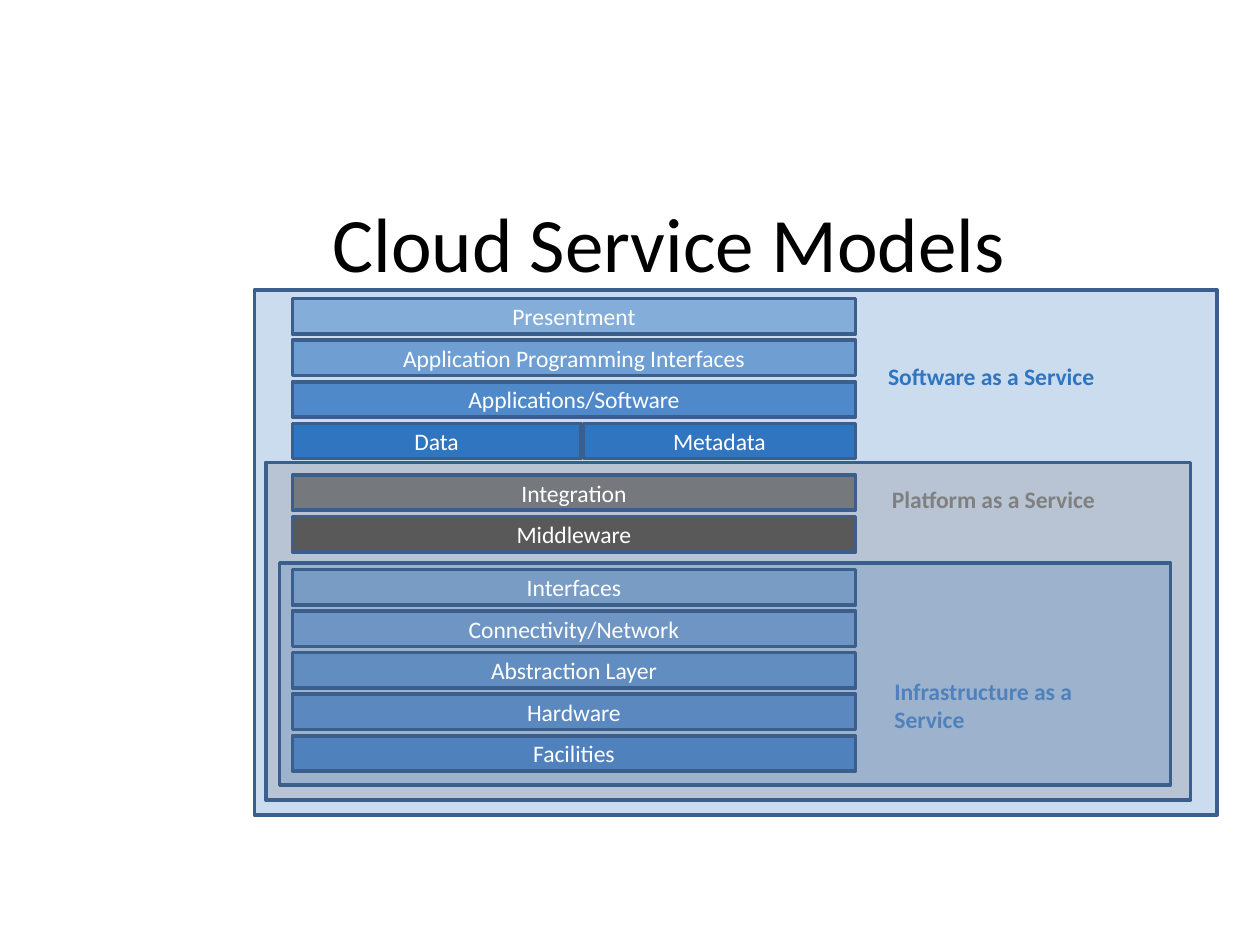
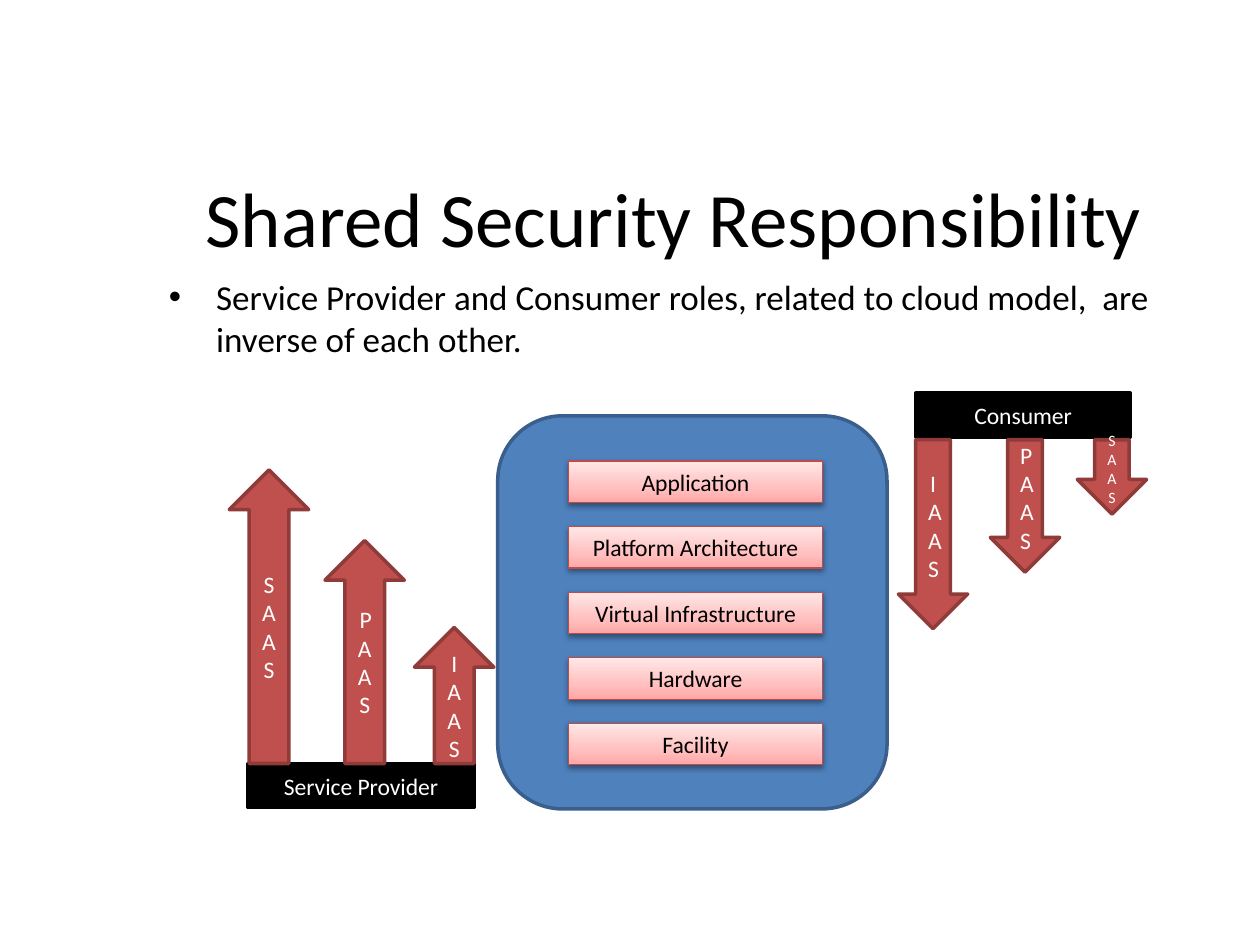
from copy import deepcopy

from lxml import etree
from pptx import Presentation
from pptx.dml.color import RGBColor
from pptx.enum.shapes import MSO_SHAPE
from pptx.enum.text import MSO_ANCHOR, MSO_AUTO_SIZE, PP_ALIGN
from pptx.oxml.ns import qn
from pptx.util import Inches, Pt

RECTANGLE = MSO_SHAPE.RECTANGLE
ROUNDED = MSO_SHAPE.ROUNDED_RECTANGLE
UP_ARROW = MSO_SHAPE.UP_ARROW
DOWN_ARROW = MSO_SHAPE.DOWN_ARROW
MIDDLE = MSO_ANCHOR.MIDDLE
TOP = MSO_ANCHOR.TOP
CENTER = PP_ALIGN.CENTER
LEFT = PP_ALIGN.LEFT
NO_AUTOFIT = MSO_AUTO_SIZE.NONE

BLACK = RGBColor(0x00, 0x00, 0x00)
WHITE = RGBColor(0xFF, 0xFF, 0xFF)
SOFTWARE_BLUE = RGBColor(0x30, 0x75, 0xC0)
PLATFORM_GRAY = RGBColor(0x80, 0x80, 0x80)
LAYER_GRAY = RGBColor(0x59, 0x59, 0x59)
BLUE = RGBColor(0x4F, 0x81, 0xBD)
BLUE_LINE = RGBColor(0x3A, 0x5F, 0x8C)
RED = RGBColor(0xC0, 0x50, 0x4D)
RED_LINE = RGBColor(0x8E, 0x3B, 0x39)
PINK_LINE = RGBColor(0xBF, 0x4C, 0x48)
PINK_STOPS = [
    (0, RGBColor(0xFF, 0xA6, 0xA5)),
    (0.35, RGBColor(0xFF, 0xC0, 0xBF)),
    (1, RGBColor(0xFF, 0xE7, 0xE7)),
]


class Deck:
    font_name = "Calibri"
    label_size = 13.5

    def __init__(self):
        self.presentation = Presentation()
        self.presentation.slide_width = Inches(10)
        self.presentation.slide_height = Inches(7.5)
        self.slide = None
        self.shapes = None

    def add_slide(self, layout_index, title, left, top):
        layout = self.presentation.slide_layouts[layout_index]
        self.slide = self.presentation.slides.add_slide(layout)
        self.shapes = self.slide.shapes
        self.fill_placeholder(0, title, (left, top, 8.22, 1.44), 44, MIDDLE, CENTER)

    def start_group(self):
        """Send the shapes that follow on this slide into one group."""
        self.shapes = self.slide.shapes.add_group_shape().shapes

    def fill_placeholder(self, index, text, place, size, anchor, align):
        box = self.slide.placeholders[index]
        box.left, box.top, box.width, box.height = map(Inches, place)
        self.set_text(box, text, size, BLACK, anchor, align)
        box.text_frame.auto_size = NO_AUTOFIT

    def set_text(self, box, text, size, color, anchor=MIDDLE, align=CENTER, bold=False):
        frame = box.text_frame
        frame.text = text
        frame.word_wrap = True
        frame.vertical_anchor = anchor
        para = frame.paragraphs[0]
        para.alignment = align
        para.space_before = Pt(0)
        for span in para.runs:
            span.font.name = self.font_name
            span.font.size = Pt(size)
            span.font.bold = bold
            span.font.color.rgb = color

    def shape(self, kind, place, fill, line, text="", opacity=100, size=label_size):
        shape = self.shapes.add_shape(kind, *map(Inches, place))
        shape.shadow.inherit = False
        shape.fill.solid()
        shape.fill.fore_color.rgb = fill
        if opacity < 100:
            color = shape._element.spPr.find(qn("a:solidFill"))[0]
            etree.SubElement(color, qn("a:alpha"), val=str(opacity * 1000))
        shape.line.color.rgb = line
        shape.line.width = Pt(2)
        if text:
            self.set_text(shape, text, size, WHITE)
        return shape

    def label(self, text, left, top, height, color):
        box = self.shapes.add_textbox(*map(Inches, (left, top, 2.11, height)))
        self.set_text(box, text, self.label_size, color, TOP, LEFT, bold=True)

    def gradient_bar(self, text, place):
        """Pink bar that darkens downwards and casts a soft shadow."""
        bar = self.shape(RECTANGLE, place, RED, PINK_LINE)
        bar.line.width = Pt(0.75)
        self.set_text(bar, text, self.label_size, BLACK)

        bar.fill.gradient()
        bar.fill.gradient_angle = 90
        properties = bar._element.spPr
        stop_list = properties.find(".//" + qn("a:gsLst"))
        stop_list.append(deepcopy(stop_list[-1]))
        for stop, (position, color) in zip(bar.fill.gradient_stops, PINK_STOPS):
            stop.position = position
            stop.color.rgb = color

        shadow = etree.SubElement(
            properties.find(qn("a:effectLst")), qn("a:outerShdw"),
            blurRad=str(Pt(3.1)), dist=str(Pt(1.6)), dir="5400000", rotWithShape="0")
        color = etree.SubElement(shadow, qn("a:srgbClr"), val=str(BLACK))
        etree.SubElement(color, qn("a:alpha"), val="38000")


def build_service_models(deck):
    deck.add_slide(5, "Cloud Service Models", 1.2, 1.2)
    deck.start_group()
    for place, color in [
        ((2.02, 2.3, 7.64, 4.17), SOFTWARE_BLUE),
        ((2.11, 3.67, 7.34, 2.68), PLATFORM_GRAY),
        ((2.22, 4.47, 7.07, 1.76), BLUE),
    ]:
        deck.shape(RECTANGLE, place, color, BLUE_LINE, opacity=25)

    layer_left, layer_width, layer_height, step = 2.32, 4.47, 0.28, 0.33
    layer_stacks = [
        (2.37, SOFTWARE_BLUE, [
            ("Presentment", 45),
            ("Application Programming Interfaces", 60),
            ("Applications/Software", 80),
        ]),
        (3.77, LAYER_GRAY, [("Integration", 70), ("Middleware", 100)]),
        (4.52, BLUE, [
            ("Interfaces", 45),
            ("Connectivity/Network", 60),
            ("Abstraction Layer", 75),
            ("Hardware", 85),
            ("Facilities", 100),
        ]),
    ]
    for top, color, layers in layer_stacks:
        for row, (text, opacity) in enumerate(layers):
            place = (layer_left, top + row * step, layer_width, layer_height)
            deck.shape(RECTANGLE, place, color, BLUE_LINE, text, opacity)
    for text, left, width in [("Data", layer_left, 2.29), ("Metadata", 4.63, 2.16)]:
        place = (left, 3.36, width, layer_height)
        deck.shape(RECTANGLE, place, SOFTWARE_BLUE, BLUE_LINE, text)

    deck.label("Infrastructure as a Service", 7, 5.32, 0.56, BLUE)
    deck.label("Platform as a Service", 6.98, 3.8, 0.33, PLATFORM_GRAY)
    deck.label("Software as a Service", 6.95, 2.82, 0.33, SOFTWARE_BLUE)


def build_shared_security(deck):
    deck.add_slide(1, "Shared Security Responsibility", 1.24, 1)
    deck.fill_placeholder(
        1,
        "Service Provider and Consumer roles, related to cloud model,  are "
        "inverse of each other.",
        (1.24, 2.14, 8.22, 0.65), 20, TOP, LEFT)

    deck.shape(ROUNDED, (3.95, 3.3, 3.09, 3.12), BLUE, BLUE_LINE)
    components = ["Application", "Platform Architecture", "Virtual Infrastructure",
                  "Hardware", "Facility"]
    for row, text in enumerate(components):
        deck.gradient_bar(text, (4.51, 3.66 + row * 0.52, 2.02, 0.33))

    provider_top, arrows_top = 6.06, 3.49
    deck.shape(RECTANGLE, (1.97, provider_top, 1.79, 0.35), BLACK, BLACK,
               "Service Provider")
    deck.shape(RECTANGLE, (7.27, 3.12, 1.7, 0.35), BLACK, BLACK, "Consumer")
    for text, left, height, size in [
        ("IAAS", 7.13, 1.5, 13.5),
        ("PAAS", 7.86, 1.05, 13.5),
        ("SAAS", 8.55, 0.59, 9),
    ]:
        deck.shape(DOWN_ARROW, (left, arrows_top, 0.55, height), RED, RED_LINE,
                   text, size=size)
    for text, left, height in [
        ("IAAS", 3.29, 1.08),
        ("PAAS", 2.58, 1.77),
        ("SAAS", 1.82, 2.33),
    ]:
        deck.shape(UP_ARROW, (left, provider_top - height, 0.63, height), RED,
                   RED_LINE, text)


def main():
    deck = Deck()
    build_service_models(deck)
    build_shared_security(deck)
    deck.presentation.save("out.pptx")


if __name__ == "__main__":
    main()
